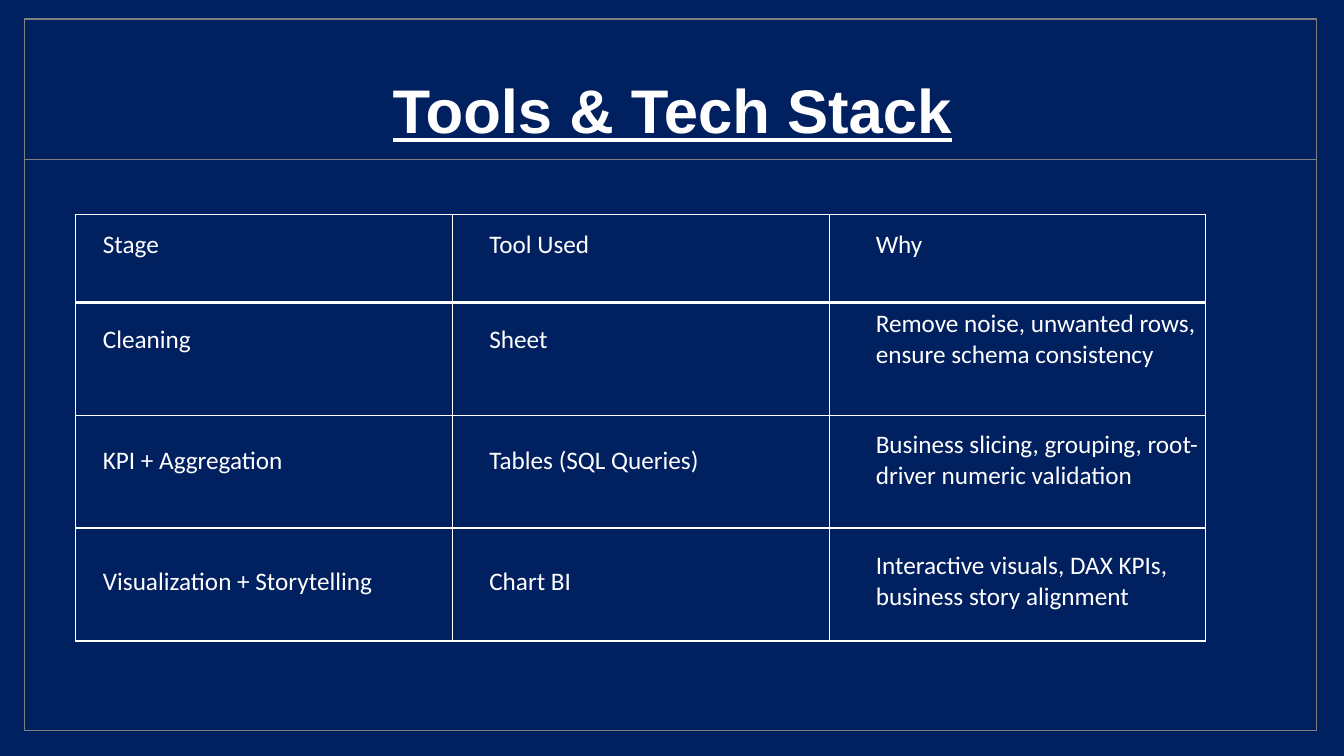
from lxml.etree import SubElement
from pptx import Presentation
from pptx.dml.color import RGBColor
from pptx.enum.shapes import MSO_CONNECTOR, MSO_SHAPE
from pptx.enum.text import MSO_ANCHOR, PP_ALIGN
from pptx.oxml.ns import qn
from pptx.util import Inches, Pt

TITLE = "Tools & Tech Stack"
ROWS = [
    ("Stage", "Tool Used", "Why"),
    ("Cleaning", "Sheet", "Remove noise, unwanted rows, ensure schema consistency"),
    ("KPI + Aggregation", "Tables (SQL Queries)",
     "Business slicing, grouping, root-driver numeric validation"),
    ("Visualization + Storytelling", "Chart BI",
     "Interactive visuals, DAX KPIs, business story alignment"),
]
COLORS = {"back": "002060", "text": "FFFFFF", "grid": "FFFFFF", "frame": "808080"}
FONTS = {
    "title": {"name": "Arial", "size": Pt(44), "bold": True, "underline": True},
    "cell": {"name": "Calibri", "size": Pt(18), "bold": False},
}
TEXT = {"left": 0.92, "top": 2.08, "wide": 11.5, "head": 0.69, "body": 1.2}
GRID = {"left": 0.75, "top": 2.13, "wide": 11.21, "head": 0.87, "body": 1.12}
FRAME = (0.24, 0.19, 12.82, 7.06)
RULE = 1.58
PLAIN = "{2D5ABB26-0587-4C30-8999-92F81FD0307C}"


def color(key):
    return RGBColor.from_string(COLORS[key])


def style(font, kind):
    for key, value in FONTS[kind].items():
        setattr(font, key, value)
    font.color.rgb = color("text")


def add_grid(slide, area):
    count, cols = len(ROWS), len(ROWS[0])
    high = area["head"] + area["body"] * (count - 1)
    box = [Inches(v) for v in (area["left"], area["top"], area["wide"], high)]
    table = slide.shapes.add_table(count, cols, *box).table
    table.first_row = table.horz_banding = False
    table._tbl.tblPr.find(qn("a:tableStyleId")).text = PLAIN
    for i, row in enumerate(table.rows):
        row.height = Inches(area["body"] if i else area["head"])
    for cell in table.iter_cells():
        cell.vertical_anchor = MSO_ANCHOR.MIDDLE
    return table


def add_edge(cell, side, width):
    props = cell._tc.get_or_add_tcPr()
    edge = SubElement(props, qn(f"a:ln{side}"), w=str(Pt(width)))
    fill = SubElement(edge, qn("a:solidFill"))
    SubElement(fill, qn("a:srgbClr"), val=COLORS["grid"])


def main():
    deck = Presentation()
    deck.slide_width, deck.slide_height = Inches(13.33), Inches(7.5)
    slide = deck.slides.add_slide(deck.slide_layouts[6])
    slide.background.fill.solid()
    slide.background.fill.fore_color.rgb = color("back")

    box = slide.shapes.add_textbox(*[Inches(v) for v in (0.92, 0.4, 11.5, 1.45)])
    frame = box.text_frame
    frame.word_wrap = True
    frame.vertical_anchor = MSO_ANCHOR.MIDDLE
    para = frame.paragraphs[0]
    para.alignment = PP_ALIGN.CENTER
    para.line_spacing = 0.9
    run = para.add_run()
    run.text = TITLE
    style(run.font, "title")

    table = add_grid(slide, TEXT)
    for i, row in enumerate(ROWS):
        for j, words in enumerate(row):
            cell = table.cell(i, j)
            cell.text = words
            style(cell.text_frame.paragraphs[0].runs[0].font, "cell")
            cell.fill.background()

    table = add_grid(slide, GRID)
    for i in range(len(ROWS)):
        for j in range(len(ROWS[0])):
            cell = table.cell(i, j)
            for side in "LRTB":
                thick = (i, side) in ((0, "B"), (1, "T"))
                add_edge(cell, side, 3 if thick else 1)
            cell.fill.background()

    left, top, wide, high = FRAME
    border = slide.shapes.add_shape(MSO_SHAPE.RECTANGLE, *[Inches(v) for v in FRAME])
    border.shadow.inherit = False
    border.fill.background()
    ends = [Inches(v) for v in (left, RULE, left + wide, RULE)]
    rule = slide.shapes.add_connector(MSO_CONNECTOR.STRAIGHT, *ends)
    SubElement(rule._element.spPr, qn("a:effectLst"))
    for shape, width in ((border, 1), (rule, 0.5)):
        shape.line.color.rgb = color("frame")
        shape.line.width = Pt(width)
    deck.save("out.pptx")


if __name__ == "__main__":
    main()
